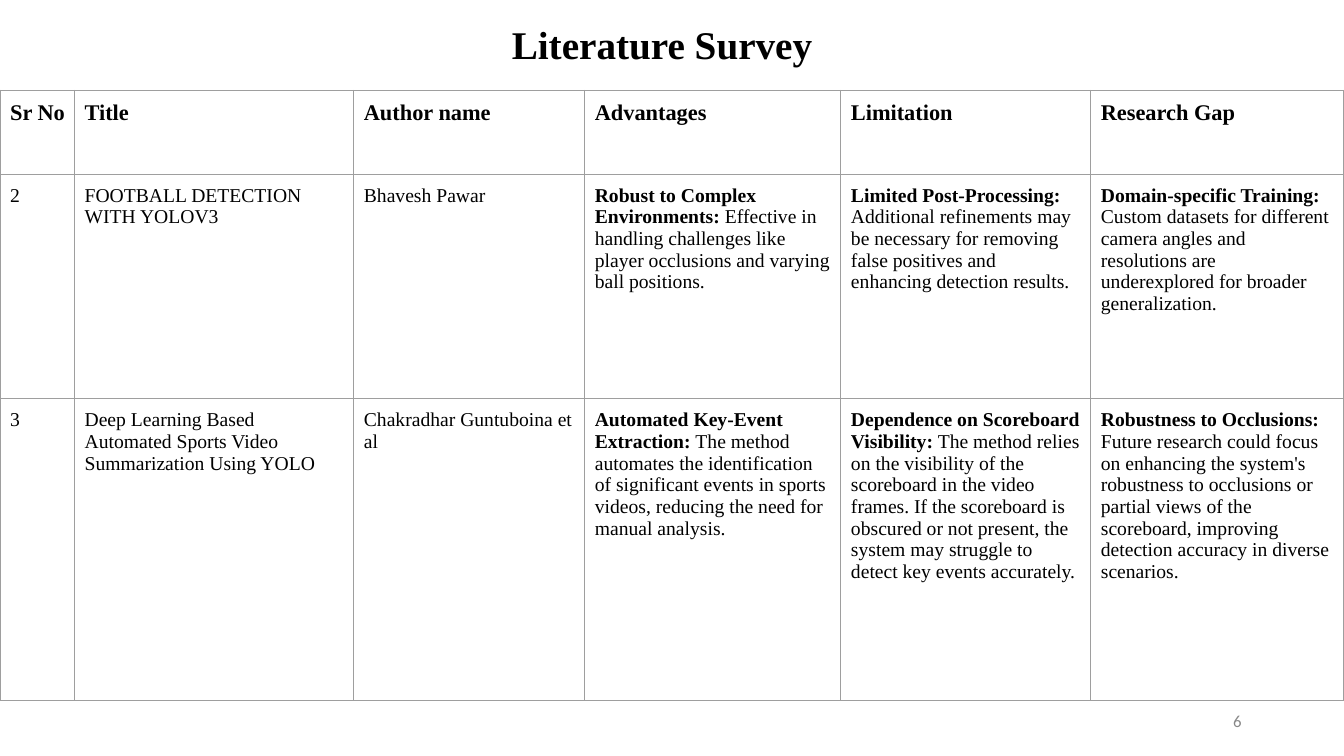
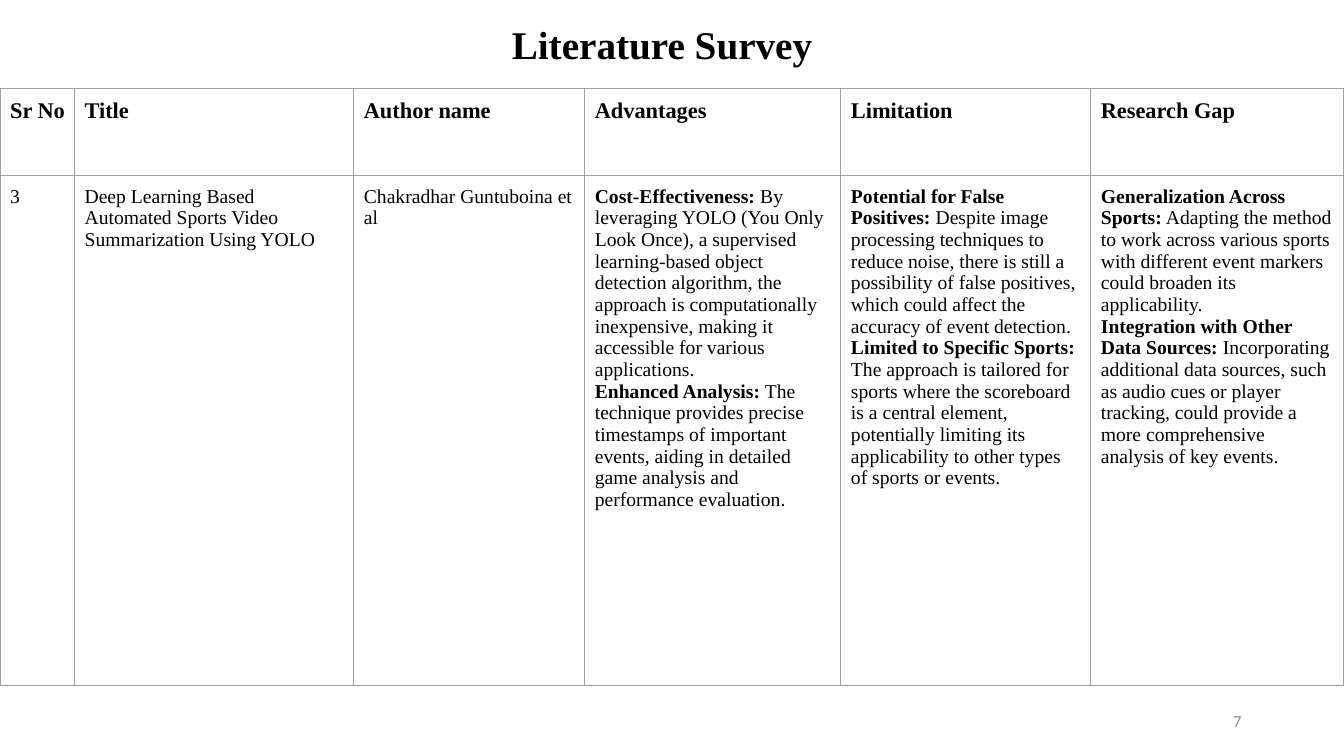
"""Builds the literature survey slides."""
import pptx
import pptx.dml.color
import pptx.enum.text
import pptx.oxml
import pptx.oxml.ns
import pptx.util

PX = 9525
BLACK = pptx.dml.color.RGBColor(0x00, 0x00, 0x00)
WHITE = pptx.dml.color.RGBColor(0xFF, 0xFF, 0xFF)
GREY = pptx.dml.color.RGBColor(0x88, 0x88, 0x88)
RULE = pptx.dml.color.RGBColor(0x9E, 0x9E, 0x9E)
SERIF = "Times New Roman"
SANS = "Calibri"
ALIGN = pptx.enum.text.PP_ALIGN
ANCHOR = pptx.enum.text.MSO_ANCHOR

COLS = [71, 266, 220, 244, 238, 241]
HEADS = ["Sr No", "Title", "Author name", "Advantages", "Limitation", "Research Gap"]
SUMMARY = [
    "3",
    "Deep Learning Based Automated Sports Video Summarization Using YOLO",
    "Chakradhar Guntuboina et al",
]

PAGES = [
    {
        "num": "6",
        "top": 86,
        "tall": [80, 214, 287],
        "rows": [
            [
                "2",
                "FOOTBALL DETECTION WITH YOLOV3",
                "Bhavesh Pawar",
                [("Robust to Complex Environments:",
                  " Effective in handling challenges like player occlusions and "
                  "varying ball positions.")],
                [("Limited Post-Processing:",
                  " Additional refinements may be necessary for removing false "
                  "positives and enhancing detection results.")],
                [("Domain-specific Training:",
                  " Custom datasets for different camera angles and resolutions "
                  "are underexplored for broader generalization.")],
            ],
            SUMMARY + [
                [("Automated Key-Event Extraction:",
                  " The method automates the identification of significant events "
                  "in sports videos, reducing the need for manual analysis.")],
                [("Dependence on Scoreboard Visibility:",
                  " The method relies on the visibility of the scoreboard in the "
                  "video frames. If the scoreboard is obscured or not present, the "
                  "system may struggle to detect key events accurately.")],
                [("Robustness to Occlusions:",
                  " Future research could focus on enhancing the system's "
                  "robustness to occlusions or partial views of the scoreboard, "
                  "improving detection accuracy in diverse scenarios.")],
            ],
        ],
    },
    {
        "num": "7",
        "top": 84,
        "tall": [83, 486],
        "rows": [
            SUMMARY + [
                [("Cost-Effectiveness:",
                  " By leveraging YOLO (You Only Look Once), a supervised "
                  "learning-based object detection algorithm, the approach is "
                  "computationally inexpensive, making it accessible for various "
                  "applications."),
                 ("Enhanced Analysis:",
                  " The technique provides precise timestamps of important events, "
                  "aiding in detailed game analysis and performance evaluation.")],
                [("Potential for False Positives:",
                  " Despite image processing techniques to reduce noise, there is "
                  "still a possibility of false positives, which could affect the "
                  "accuracy of event detection."),
                 ("Limited to Specific Sports:",
                  " The approach is tailored for sports where the scoreboard is a "
                  "central element, potentially limiting its applicability to other "
                  "types of sports or events.")],
                [("Generalization Across Sports:",
                  " Adapting the method to work across various sports with "
                  "different event markers could broaden its applicability."),
                 ("Integration with Other Data Sources:",
                  " Incorporating additional data sources, such as audio cues or "
                  "player tracking, could provide a more comprehensive analysis of "
                  "key events.")],
            ],
        ],
    },
]


def style(para, size, face=SERIF, ink=BLACK, bold=False):
    """Set the font of a whole paragraph."""
    font = para.font
    font.name, font.size, font.bold = face, pptx.util.Pt(size), bold
    font.color.rgb = ink


def label(slide, box, text, pad, align, anchor, **look):
    """Place one line of text in a box."""
    frame = slide.shapes.add_textbox(*[n * PX for n in box]).text_frame
    frame.word_wrap = True
    frame.vertical_anchor = anchor
    frame.margin_top = frame.margin_bottom = pad * PX
    para = frame.paragraphs[0]
    para.text = text
    para.alignment = align
    style(para, **look)


def frame_cell(cell):
    """Give a cell a white fill and thin rules on all sides."""
    cell.fill.solid()
    cell.fill.fore_color.rgb = WHITE
    props = cell._tc.get_or_add_tcPr()
    for spot, side in enumerate("LRTB"):
        line = pptx.oxml.parse_xml(
            f'<a:ln{side} {pptx.oxml.ns.nsdecls("a")} w="{PX}"><a:solidFill>'
            f'<a:srgbClr val="{RULE}"/></a:solidFill></a:ln{side}>')
        props.insert(spot, line)


def fill_cell(cell, text, size, bold, right):
    """Write plain text, or points with a bold lead, into a cell."""
    frame_cell(cell)
    cell.margin_top = cell.margin_bottom = 10 * PX
    cell.margin_right = right * PX
    points = [("", text)] if isinstance(text, str) else text
    frame = cell.text_frame
    for spot, (lead, rest) in enumerate(points):
        para = frame.add_paragraph() if spot else frame.paragraphs[0]
        style(para, size, bold=bold)
        if lead:
            run = para.add_run()
            run.text = lead
            run.font.bold = True
        para.add_run().text = rest


def survey(slide, left, top, tall, rows):
    """Draw the survey table with its heading row."""
    box = [left, top, sum(COLS), sum(tall)]
    table = slide.shapes.add_table(
        len(tall), len(COLS), *[n * PX for n in box]).table
    table.first_row = table.horz_banding = False
    for col, wide in zip(table.columns, COLS):
        col.width = wide * PX
    for spot, (row, high, texts) in enumerate(zip(table.rows, tall, [HEADS] + rows)):
        row.height = high * PX
        size, bold, right = (14, False, 10) if spot else (16, True, 8)
        for cell, text in zip(row.cells, texts):
            fill_cell(cell, text, size, bold, right)


def page(deck, num, top, tall, rows):
    """Add one survey slide with number, title and table."""
    slide = deck.slides.add_slide(deck.slide_layouts[6])
    label(slide, (904, 667, 288, 38), num, 5, ALIGN.RIGHT, ANCHOR.MIDDLE,
          size=12, face=SANS, ink=GREY)
    label(slide, (478, 9, 324, 64), "Literature Survey", 10, ALIGN.LEFT, ANCHOR.TOP,
          size=28, bold=True)
    survey(slide, 0, top, tall, rows)


def main():
    """Build and save the deck."""
    deck = pptx.Presentation()
    deck.slide_width, deck.slide_height = 1280 * PX, 720 * PX
    for item in PAGES:
        page(deck, **item)
    deck.save("out.pptx")


if __name__ == "__main__":
    main()
